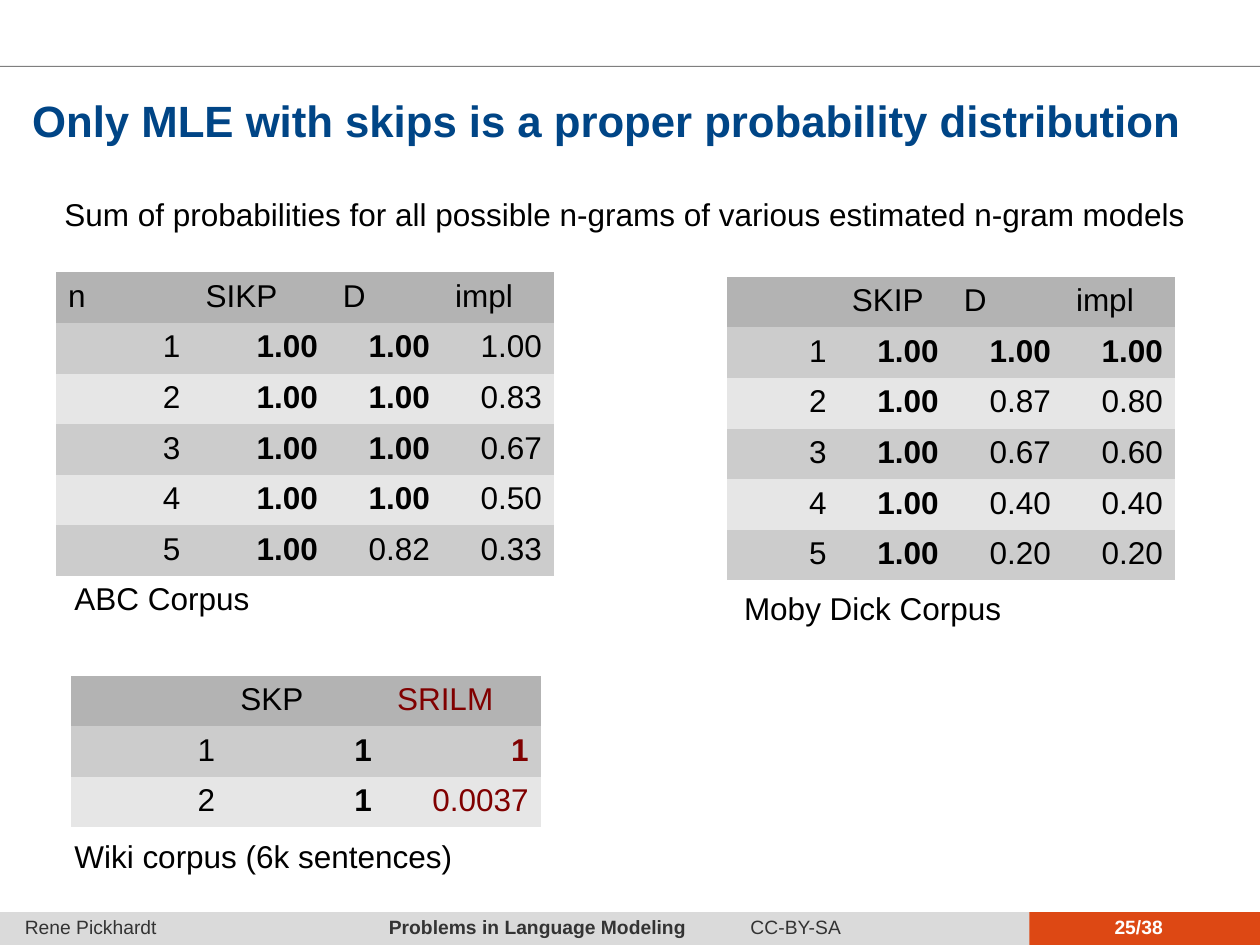
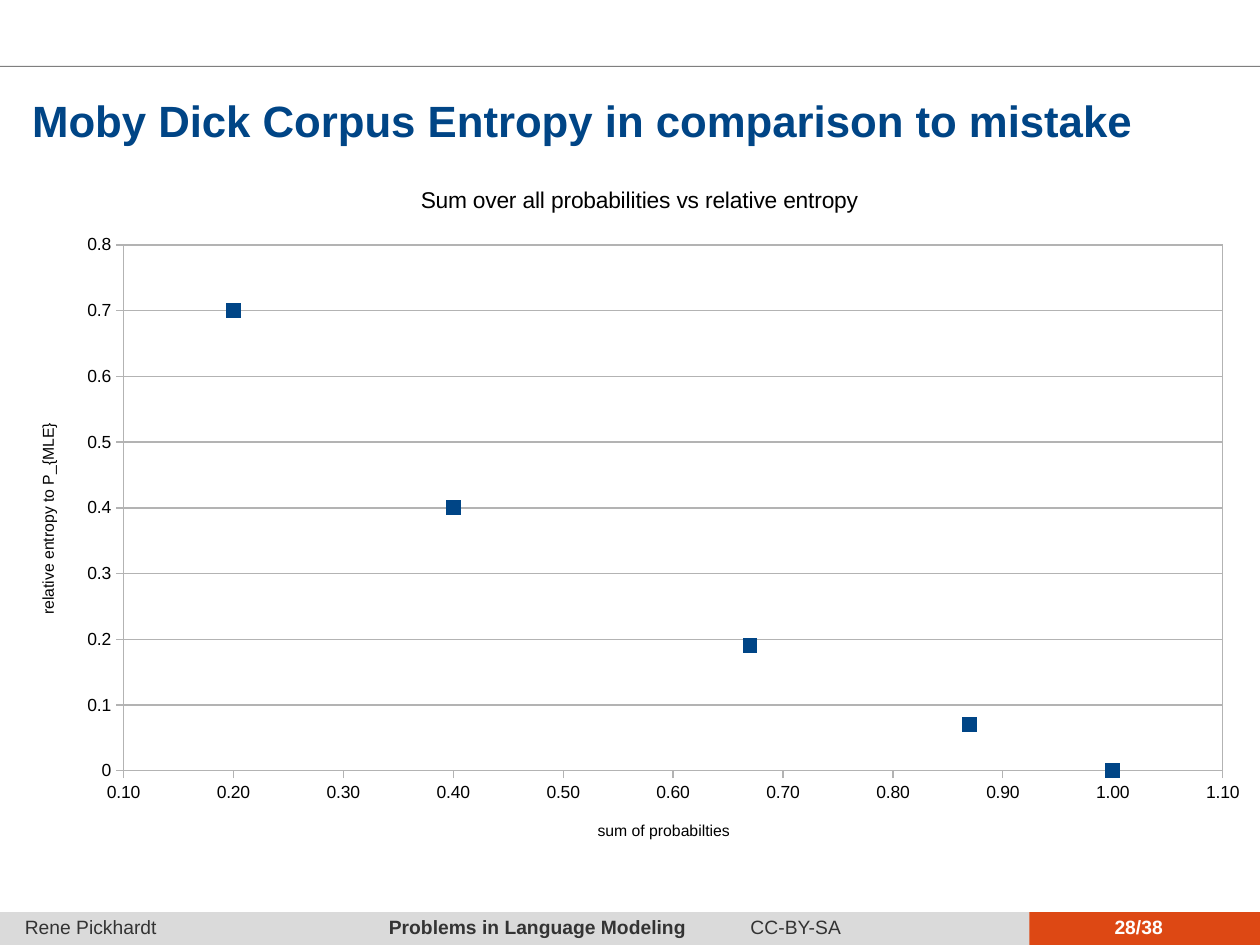
from lxml.etree import SubElement
from pptx import Presentation
from pptx.chart.data import XyChartData
from pptx.dml.color import RGBColor
from pptx.enum.chart import XL_CHART_TYPE as ChartType, XL_MARKER_STYLE as Marker
from pptx.enum.chart import XL_TICK_MARK as Tick, XL_TICK_LABEL_POSITION as LabelPosition
from pptx.enum.shapes import MSO_SHAPE as Shape
from pptx.enum.text import MSO_ANCHOR as Anchor, PP_ALIGN as Align
from pptx.oxml import parse_xml
from pptx.oxml.ns import nsdecls, qn
from pptx.util import Cm, Pt

# Content
TITLES = {
    "sums": "Only MLE with skips is a proper probability distribution",
    "entropy": "Moby Dick Corpus Entropy in comparison to mistake",
}
PAGES = {"sums": "25/38", "entropy": "28/38"}
INTRO = "Sum of probabilities for all possible n-grams of various estimated n-gram models"

# A leading * marks a bold value; positions and widths are in cm
CORPORA = [
    {"caption": "ABC Corpus", "caption_at": (1.25, 11.54), "at": (1.12, 5.49),
     "widths": (2.77, 2.77, 2.26, 2.26), "red": (),
     "rows": [("n", "SIKP", "D", "impl"),
              ("1", "*1.00", "*1.00", "1.00"),
              ("2", "*1.00", "*1.00", "0.83"),
              ("3", "*1.00", "*1.00", "0.67"),
              ("4", "*1.00", "*1.00", "0.50"),
              ("5", "*1.00", "0.82", "0.33")]},
    {"caption": "Moby Dick Corpus", "caption_at": (14.75, 11.74), "at": (14.66, 5.58),
     "widths": (2.26,) * 4, "red": (),
     "rows": [("", "SKIP", "D", "impl"),
              ("1", "*1.00", "*1.00", "*1.00"),
              ("2", "*1.00", "0.87", "0.80"),
              ("3", "*1.00", "0.67", "0.60"),
              ("4", "*1.00", "0.40", "0.40"),
              ("5", "*1.00", "0.20", "0.20")]},
    {"caption": "Wiki corpus (6k sentences)", "caption_at": (1.25, 16.74), "at": (1.43, 13.62),
     "widths": (3.16,) * 3, "red": (2,),
     "rows": [("", "SKP", "SRILM"),
              ("1", "*1", "*1"),
              ("2", "*1", "0.0037")]},
]

ENTROPY_POINTS = [(1, 0), (0.87, 0.07), (0.67, 0.19), (0.4, 0.4), (0.2, 0.7)]
ENTROPY_TITLE = "Sum over all probabilities vs relative entropy"
SUM_AXIS = {
    "title": "sum of probabilties", "number_format": "0.00",
    "scale": {"minimum_scale": 0.1, "maximum_scale": 1.1, "major_unit": 0.1,
              "has_major_gridlines": False},
}
ENTROPY_AXIS = {
    "title": "relative entropy to P_{MLE}", "number_format": "General",
    "scale": {"minimum_scale": 0, "maximum_scale": 0.8, "major_unit": 0.1,
              "has_major_gridlines": True},
}
CHART_BOX = (0.25, 3.25, 25.25, 14.2)

# Shared look
FONT = "Arial"
COLORS = {
    "title": "004586", "text": "000000", "footer": "333333", "white": "FFFFFF",
    "band": "DADADA", "page": "DD4814", "rule": "7F7F7F", "red": "800000",
    "head": "B3B3B3", "odd": "CCCCCC", "even": "E6E6E6", "axis": "B3B3B3",
}
ROW_HEIGHT = 1.02
FOOTER_TOP = 18.32
# shape, box, colour: logo plate, footer, page field, top rule
BANDS = [
    (Shape.ROUNDED_RECTANGLE, (20.75, 0.2, 4.39, 2.01), "white"),
    (Shape.RECTANGLE, (0, 18.39, 25.4, 0.66), "band"),
    (Shape.RECTANGLE, (20.75, 18.39, 4.65, 0.66), "page"),
    (Shape.RECTANGLE, (0, 1.33, 25.4, 0.02), "rule"),
]
# text, left, width, bold
FOOTER = [
    ("Rene Pickhardt", 0.25, 6, False),
    ("Problems in Language Modeling", 7.59, 7, True),
    ("CC-BY-SA", 14.88, 4, False),
]


def color(key):
    return RGBColor.from_string(COLORS[key])


def set_format(target, values):
    for attribute, value in values.items():
        setattr(target, attribute, value)


def set_font(font, size, key="text", bold=False):
    set_format(font, {"name": FONT, "size": Pt(size), "bold": bold})
    font.color.rgb = color(key)


def add_label(slide, text, box, size=18, key="text", bold=False, align=Align.LEFT):
    frame = slide.shapes.add_textbox(*map(Cm, box)).text_frame
    frame.word_wrap = True
    paragraph = frame.paragraphs[0]
    paragraph.alignment = align
    run = paragraph.add_run()
    run.text = text
    set_font(run.font, size, key, bold)
    return frame


def fill_with(target, key):
    target.fill.solid()
    target.fill.fore_color.rgb = color(key)


def add_slide(deck, topic):
    slide = deck.slides.add_slide(deck.slide_layouts[6])
    for outline, box, key in BANDS:
        band = slide.shapes.add_shape(outline, *map(Cm, box))
        band.shadow.inherit = False
        fill_with(band, key)
        band.line.fill.background()
    # Footer
    for text, left, width, bold in FOOTER:
        add_label(slide, text, (left, FOOTER_TOP, width, 0.71), 11, "footer", bold)
    add_label(slide, PAGES[topic], (20.73, FOOTER_TOP, 4.45, 0.71), 11, "white", True,
              Align.CENTER)
    # Title
    title = add_label(slide, TITLES[topic], (0.4, 1.9, 25, 1.24), 25, "title", True)
    title.vertical_anchor = Anchor.MIDDLE
    title.paragraphs[0].line_spacing = 0.8
    return slide


def add_corpus(slide, corpus):
    rows, widths = corpus["rows"], corpus["widths"]
    size = (sum(widths), ROW_HEIGHT * len(rows))
    frame = slide.shapes.add_table(len(rows), len(widths), *map(Cm, corpus["at"] + size))
    sums = frame.table
    # Plain style without grid lines
    style = sums._tbl.tblPr.find(qn("a:tableStyleId"))
    style.text = "{2D5ABB26-0587-4C30-8999-92F81FD0307C}"
    for column, width in zip(sums.columns, widths):
        column.width = Cm(width)
    for r, values in enumerate(rows):
        sums.rows[r].height = Cm(ROW_HEIGHT)
        band = "head" if r == 0 else "odd" if r % 2 else "even"
        for c, value in enumerate(values):
            cell = sums.cell(r, c)
            fill_with(cell, band)
            cell.text = value.lstrip("*")
            paragraph = cell.text_frame.paragraphs[0]
            paragraph.alignment = Align.RIGHT if r else Align.LEFT
            key = "red" if c in corpus["red"] else "text"
            for run in paragraph.runs:
                set_font(run.font, 18, key, value.startswith("*"))
    add_label(slide, corpus["caption"], corpus["caption_at"] + (9.8, 1.02))


def write_title(title, text, size):
    title.text_frame.text = text
    set_font(title.text_frame.paragraphs[0].runs[0].font, size)


def draw_hairline(line):
    line.color.rgb = color("axis")
    line.width = Pt(0)


def format_axis(axis, setup):
    set_format(axis, setup["scale"])
    set_format(axis, {"major_tick_mark": Tick.OUTSIDE, "minor_tick_mark": Tick.NONE,
                      "tick_label_position": LabelPosition.LOW})
    set_format(axis.tick_labels, {"number_format": setup["number_format"],
                                  "number_format_is_linked": False})
    set_font(axis.tick_labels.font, 10)
    draw_hairline(axis.format.line)
    if axis.has_major_gridlines:
        draw_hairline(axis.major_gridlines.format.line)
    write_title(axis.axis_title, setup["title"], 9)


def place(part, left, top, *size):
    """Fix the place of a chart part, in cm from the chart's corner."""
    for old in part.findall(qn("c:layout")):
        part.remove(old)
    layout = parse_xml(f"<c:layout {nsdecls('c')}><c:manualLayout/></c:layout>")
    settings = {"layoutTarget": "inner"} if size else {}
    settings |= {"xMode": "edge", "yMode": "edge"}
    chart_sides = CHART_BOX[2:] * 2
    for tag, length, side in zip("xywh", (left, top, *size), chart_sides):
        settings[tag] = length / side
    for tag, value in settings.items():
        SubElement(layout[0], qn(f"c:{tag}")).set("val", str(value))
    part.insert(0 if part.find(qn("c:tx")) is None else 1, layout)


def add_entropy_chart(slide):
    data = XyChartData()
    series = data.add_series("Series 1")
    for total, entropy in ENTROPY_POINTS:
        series.add_data_point(total, entropy)
    chart = slide.shapes.add_chart(ChartType.XY_SCATTER, *map(Cm, CHART_BOX), data).chart
    set_font(chart.font, 10)
    chart.has_legend = False
    write_title(chart.chart_title, ENTROPY_TITLE, 13)
    format_axis(chart.category_axis, SUM_AXIS)
    format_axis(chart.value_axis, ENTROPY_AXIS)

    # Square markers without a joining line
    chart.plots[0].vary_by_categories = False
    points = chart.plots[0].series[0]
    points.smooth = False
    points.format.line.fill.background()
    set_format(points.marker, {"style": Marker.SQUARE, "size": 8})
    fill_with(points.marker.format, "title")
    points.marker.format.line.fill.background()

    # Plot frame and the places of the titles
    space = chart._chartSpace
    plot = space.xpath("c:chart/c:plotArea")[0]
    plot.append(parse_xml(
        f"<c:spPr {nsdecls('c', 'a')}><a:noFill/><a:ln w='0'><a:solidFill>"
        f"<a:srgbClr val='{COLORS['axis']}'/></a:solidFill></a:ln></c:spPr>"))
    place(plot, 2.24, 1.69, 22.16, 10.6)
    heading, sum_title, entropy_title = space.xpath("c:chart/c:title | .//c:valAx/c:title")
    place(heading, 8.15, 0.42)
    place(sum_title, 11.74, 13.23)
    place(entropy_title, 0.45, 5.22)
    entropy_title.find(".//" + qn("a:bodyPr")).set("rot", "-5400000")


def main():
    deck = Presentation()
    set_format(deck, {"slide_width": Cm(25.4), "slide_height": Cm(19.05)})

    sums = add_slide(deck, "sums")
    add_label(sums, INTRO, (1.05, 3.81, 23.29, 1.02))
    for corpus in CORPORA:
        add_corpus(sums, corpus)

    add_entropy_chart(add_slide(deck, "entropy"))
    deck.save("out.pptx")


if __name__ == "__main__":
    main()
